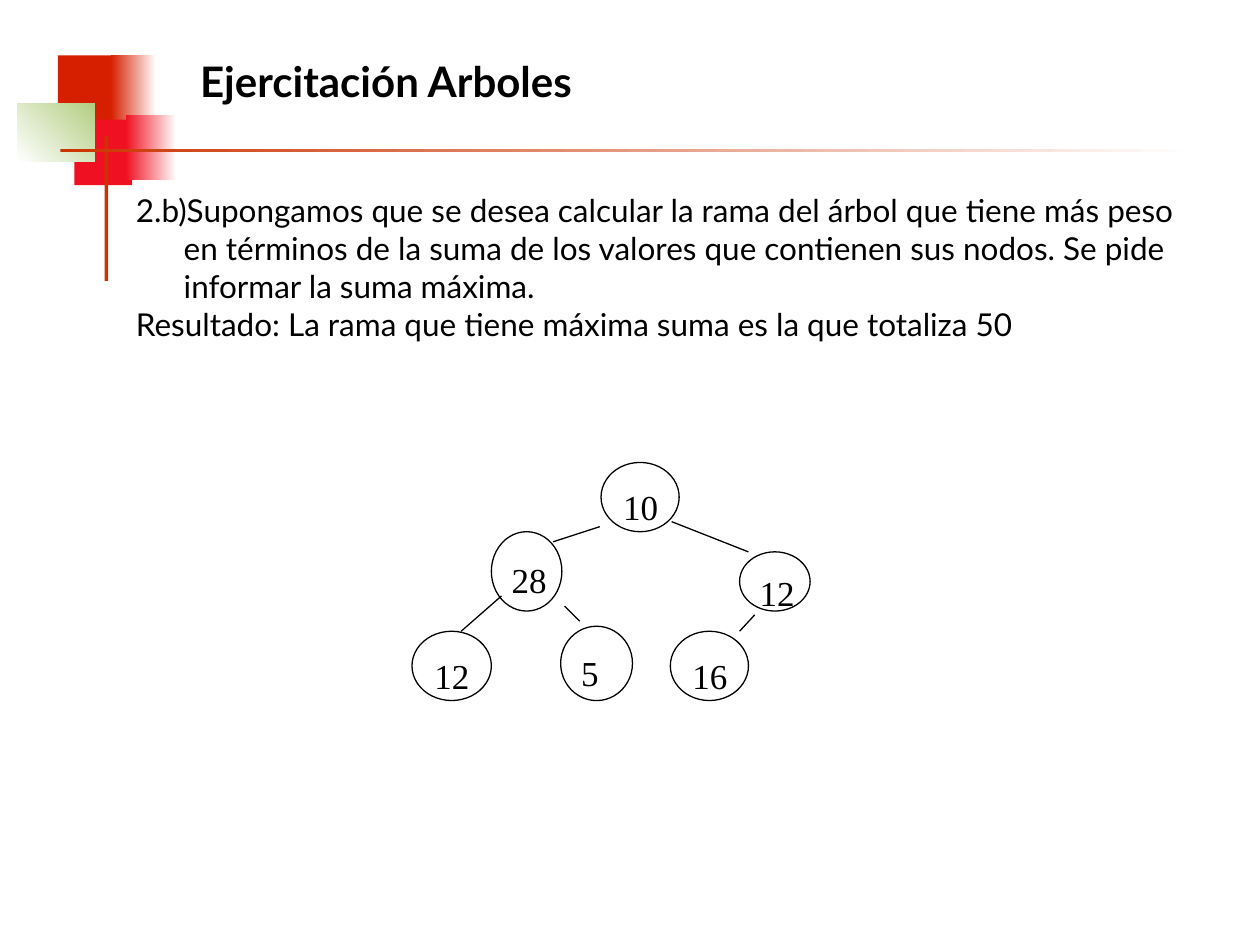
from lxml.etree import SubElement
from pptx import Presentation
from pptx.dml.color import RGBColor
from pptx.enum.shapes import MSO_CONNECTOR, MSO_SHAPE
from pptx.enum.text import MSO_ANCHOR
from pptx.oxml.ns import qn
from pptx.util import Inches, Pt

COLORS = {"black": "000000", "white": "FFFFFF", "brick": "D61F00",
          "red": "EF1121", "green": "B3CE82", "rule": "CC3300"}

DECORATION = [
    ((0.46, 0.44, 0.48, 0.52), ("brick",), 0),
    ((0.88, 0.44, 0.36, 0.52), ("brick", "white"), 0),
    ((0.59, 0.95, 0.46, 0.52), ("red",), 0),
    ((1, 0.91, 0.4, 0.52), ("red", "white"), 0),
    ((0.14, 0.82, 0.61, 0.46), ("white", "green"), 45),
    ((0.83, 1.08, 0.03, 1.15), ("rule",), 0),
    ((0.48, 1.18, 9, 0.03), ("rule", "white"), 0),
]
NODES = [
    ("10", (4.77, 3.67, 0.62, 0.55)),
    ("28", (3.9, 4.22, 0.56, 0.63)),
    ("12", (5.87, 4.38, 0.56, 0.47)),
    ("5", (4.45, 4.97, 0.57, 0.59)),
    ("16", (5.32, 5.01, 0.62, 0.55)),
    ("12", (3.27, 5.01, 0.63, 0.55)),
]
BRANCHES = [
    (4.76, 4.18, 4.39, 4.3),
    (5.33, 4.14, 5.94, 4.38),
    (3.98, 4.73, 3.66, 5.01),
    (4.48, 4.81, 4.6, 4.93),
    (5.99, 4.88, 5.87, 5.01),
]
STATEMENT = [
    "2.b)Supongamos que se desea calcular la rama del árbol que tiene más peso "
    "en términos de la suma de los valores que contienen sus nodos. Se pide "
    "informar la suma máxima.",
    "Resultado: La rama que tiene máxima suma es la que totaliza 50",
]


def rgb(name):
    """Return the named colour."""
    return RGBColor.from_string(COLORS[name])


def add_block(slide, box, colors, angle):
    """Add a borderless rectangle with a solid or two-colour gradient fill."""
    sp = slide.shapes.add_shape(MSO_SHAPE.RECTANGLE, *map(Inches, box))
    sp.shadow.inherit = False
    sp.line.fill.background()
    if len(colors) == 1:
        sp.fill.solid()
        sp.fill.fore_color.rgb = rgb(colors[0])
        return
    sp.fill.gradient()
    sp.fill.gradient_angle = angle
    for stop, position, color in zip(sp.fill.gradient_stops, (0, 1), colors):
        stop.position = position
        stop.color.rgb = rgb(color)


def add_text(slide, box, lines, font, size, bold=False, margins=(0.1, 0.05),
             anchor=MSO_ANCHOR.TOP, hanging=0):
    """Add a wrapped text box with one paragraph per line."""
    tf = slide.shapes.add_textbox(*map(Inches, box)).text_frame
    tf.word_wrap = True
    tf.vertical_anchor = anchor
    tf.margin_left = tf.margin_right = Inches(margins[0])
    tf.margin_top = tf.margin_bottom = Inches(margins[1])
    tf.text = "\n".join(lines)
    for p in tf.paragraphs:
        if hanging:
            pPr = p._p.get_or_add_pPr()
            pPr.set("marL", str(Inches(hanging)))
            pPr.set("indent", str(-Inches(hanging)))
        for r in p.runs:
            r.font.name = font
            r.font.size = Pt(size)
            r.font.bold = bold
            r.font.color.rgb = rgb("black")


def add_node(slide, value, box):
    """Add a tree node with its value set a quarter across and a third down."""
    sp = slide.shapes.add_shape(MSO_SHAPE.OVAL, *map(Inches, box))
    sp.shadow.inherit = False
    sp.fill.solid()
    sp.fill.fore_color.rgb = rgb("white")
    sp.line.color.rgb = rgb("black")
    sp.line.width = Pt(0.75)
    left, top, width, height = box
    label = (left + width / 4, top + height / 3, width, height * 2 / 3)
    add_text(slide, label, [value], "Times New Roman", 20, margins=(0.02, 0))


def add_branch(slide, ends):
    """Add a thin line between two nodes."""
    line = slide.shapes.add_connector(MSO_CONNECTOR.STRAIGHT, *map(Inches, ends))
    line.line.color.rgb = rgb("black")
    line.line.width = Pt(0.75)
    SubElement(line._element.spPr, qn("a:effectLst"))


def main():
    """Build the tree exercise slide."""
    prs = Presentation()
    prs.slide_width, prs.slide_height = Inches(10), Inches(7.5)
    slide = prs.slides.add_slide(prs.slide_layouts[6])
    for box, colors, angle in DECORATION:
        add_block(slide, box, colors, angle)
    add_text(slide, (0.98, 1.47, 8.58, 4.88), STATEMENT, "Lato", 18, hanging=0.38)
    for value, box in NODES:
        add_node(slide, value, box)
    for ends in BRANCHES:
        add_branch(slide, ends)
    add_text(slide, (1.49, 0.13, 3.98, 1.02), ["Ejercitación Arboles"], "Lato", 24,
             bold=True, anchor=MSO_ANCHOR.MIDDLE)
    prs.save("out.pptx")


if __name__ == "__main__":
    main()
